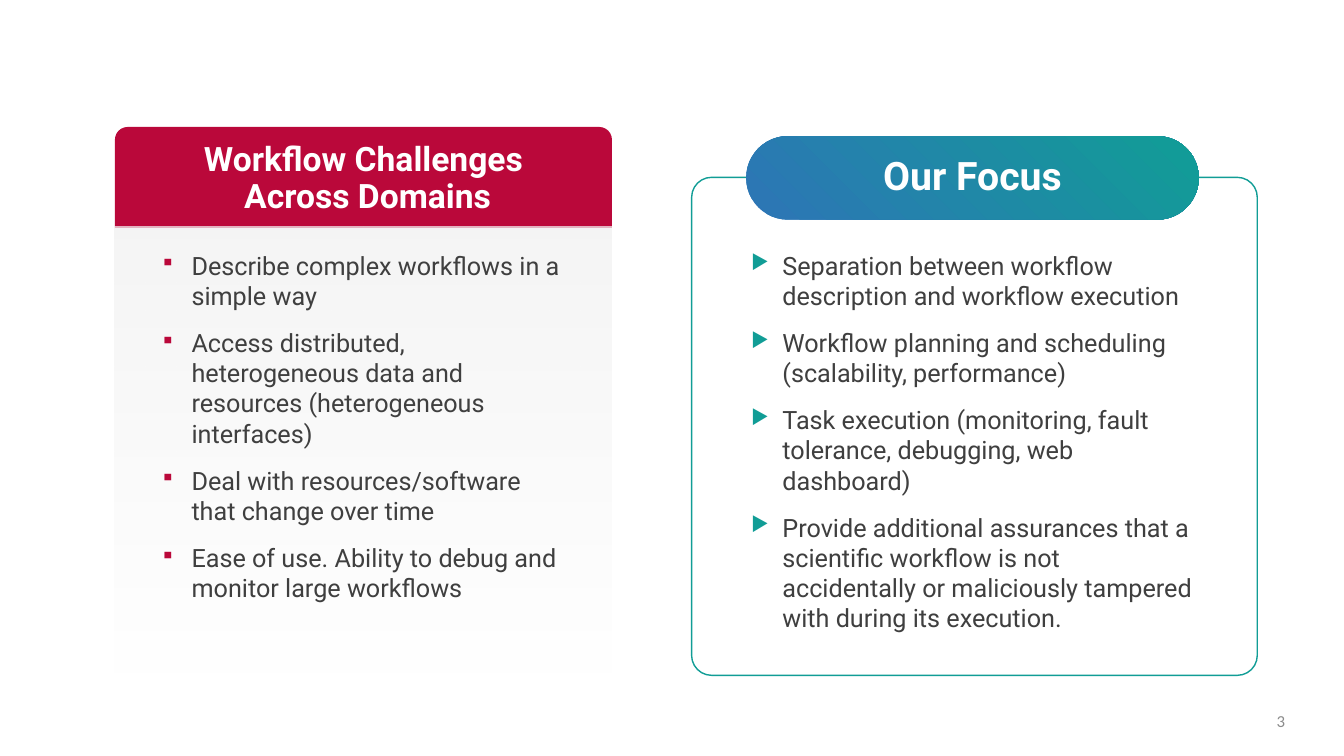
from lxml import etree
from pptx import Presentation
from pptx import util as u
from pptx.dml import color as dml
from pptx.enum import shapes, text
from pptx.oxml import ns

PX = 9144
CRIMSON, TEAL, BLUE = "BA083A", "119D96", "2D75B6"
WHITE, MIST, INK = "FFFFFF", "F2F2F2", "3F3F3F"

CHALLENGES = [
    "Describe complex workflows in a simple way",
    "Access distributed, heterogeneous data and resources (heterogeneous interfaces)",
    "Deal with resources/software that change over time",
    "Ease of use. Ability to debug and monitor large workflows",
]
FOCUS = [
    "Separation between workflow description and workflow execution",
    "Workflow planning and scheduling (scalability, performance)",
    "Task execution (monitoring, fault tolerance, debugging, web dashboard)",
    "Provide additional assurances that a scientific workflow is not "
    "accidentally or maliciously tampered with during its execution.",
]


def px(*lengths):
    """Turn px lengths into EMU."""
    return [u.Emu(length * PX) for length in lengths]


def rgb(value):
    """Turn a hex string into a colour."""
    return dml.RGBColor.from_string(value)


def style(paragraph, name, size, color, bold=False):
    """Set the font of a paragraph."""
    font = paragraph.font
    font.name, font.size, font.bold = name, u.Pt(size), bold
    font.color.rgb = rgb(color)


def set_insets(frame, side, top):
    """Wrap the text and set its margins in px."""
    frame.word_wrap = True
    frame.margin_left, frame.margin_right = px(side, side)
    frame.margin_top, frame.margin_bottom = px(top, top)


def add_panel(slide, kind, box, adjustments=()):
    """Add a plain shape with neither line nor shadow."""
    panel = slide.shapes.add_shape(kind, *px(*box))
    panel.shadow.inherit = False
    panel.line.fill.background()
    for index, value in enumerate(adjustments):
        panel.adjustments[index] = value
    return panel


def fill_gradient(panel, colors, angle, alphas=()):
    """Fill with two colours, counting the angle anticlockwise."""
    panel.fill.gradient()
    panel.fill.gradient_angle = angle
    for stop, color in zip(panel.fill.gradient_stops, colors):
        stop.color.rgb = rgb(color)
    for tint, alpha in zip(panel.element.spPr.iter(ns.qn("a:srgbClr")), alphas):
        etree.SubElement(tint, ns.qn("a:alpha"), val=str(alpha * 1000))


def add_heading(panel, wording, size, side, top):
    """Write a bold white heading in the middle of a panel."""
    frame = panel.text_frame
    set_insets(frame, side, top)
    frame.vertical_anchor = text.MSO_ANCHOR.MIDDLE
    frame.text = wording
    heading = frame.paragraphs[0]
    heading.alignment = text.PP_ALIGN.CENTER
    heading.line_spacing = 0.9
    style(heading, "Roboto", size, WHITE, True)


def add_bullets(slide, box, points, mark, color):
    """Add a bulleted list with coloured marks."""
    frame = slide.shapes.add_textbox(*px(*box)).text_frame
    set_insets(frame, 8, 4)
    frame.auto_size = text.MSO_AUTO_SIZE.SHAPE_TO_FIT_TEXT
    frame.text = "\n".join(points)
    indent = 31 * PX
    for index, point in enumerate(frame.paragraphs):
        properties = point._p.get_or_add_pPr()
        properties.set("marL", str(indent))
        properties.set("indent", str(-indent))
        tint = etree.SubElement(properties, ns.qn("a:buClr"))
        etree.SubElement(tint, ns.qn("a:srgbClr"), val=color)
        etree.SubElement(properties, ns.qn("a:buSzPct"), val="80000")
        etree.SubElement(properties, ns.qn("a:buChar"), char=mark)
        if index:
            point.space_before = u.Pt(12)
        style(point, "Roboto", 18, INK)
    point.space_after = u.Pt(12)


def add_challenges(slide, left, top, width, height):
    """Build the challenges card: crimson header over a fading body."""
    header_height = 100
    header = add_panel(slide, shapes.MSO_SHAPE.ROUND_2_SAME_RECTANGLE,
                       (left, top, width, header_height), (0.126, 0))
    header.fill.solid()
    header.fill.fore_color.rgb = rgb(CRIMSON)
    add_heading(header, "Workflow Challenges\v Across Domains", 24, 8, 4)
    body_top = top + header_height - 1
    body = add_panel(slide, shapes.MSO_SHAPE.RECTANGLE,
                     (left, body_top, width, top + height - body_top))
    fill_gradient(body, (MIST, MIST), 270, (74, 0))
    add_bullets(slide, (left + 37, body_top + 19, width - 74, 378),
                CHALLENGES, "▪", CRIMSON)


def add_focus(slide, left, top, width, height):
    """Build the focus card: teal outline with a pill on its upper edge."""
    outline = add_panel(slide, shapes.MSO_SHAPE.ROUNDED_RECTANGLE,
                        (left, top, width, height), (0.04,))
    outline.fill.background()
    outline.line.color.rgb = rgb(TEAL)
    outline.line.width = u.Pt(1)
    pill = add_panel(slide, shapes.MSO_SHAPE.ROUNDED_RECTANGLE,
                     (left + 54, top - 41, width - 112, 83), (0.5,))
    fill_gradient(pill, (BLUE, TEAL), 45)
    add_heading(pill, "Our Focus", 28, 10, 5)
    add_bullets(slide, (left + 51, top + 68, width - 106, 408), FOCUS, "▶", TEAL)


def add_page_number(slide, left, top, width, height):
    """Write the page number at the foot."""
    frame = slide.shapes.add_textbox(*px(left, top, width, height)).text_frame
    set_insets(frame, 10, 5)
    frame.vertical_anchor = text.MSO_ANCHOR.MIDDLE
    frame.text = "3"
    number = frame.paragraphs[0]
    number.alignment = text.PP_ALIGN.CENTER
    style(number, "Calibri", 12, "8C8C8C")


def main():
    """Build the slide and save it."""
    deck = Presentation()
    deck.slide_width, deck.slide_height = px(1333, 750)
    slide = deck.slides.add_slide(deck.slide_layouts[6])
    add_challenges(slide, 114, 126, 493, 544)
    add_focus(slide, 686, 176, 561, 494)
    add_page_number(slide, 1248, 695, 45, 40)
    deck.save("out.pptx")


if __name__ == "__main__":
    main()
